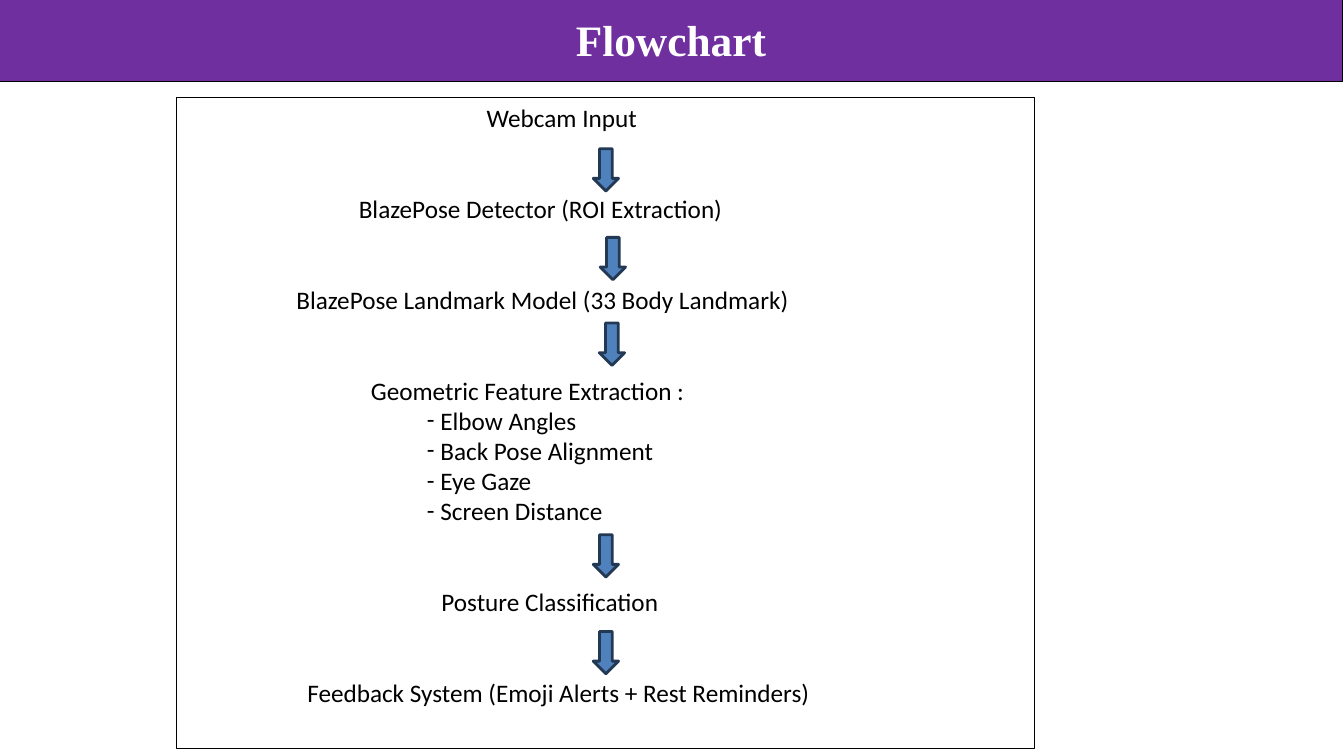
import dataclasses

import pptx
import pptx.dml.color
import pptx.enum.shapes
import pptx.enum.text
import pptx.oxml
import pptx.oxml.ns
import pptx.util

SHAPE = pptx.enum.shapes.MSO_SHAPE
ALIGN = pptx.enum.text.PP_ALIGN
ANCHOR = pptx.enum.text.MSO_ANCHOR


@dataclasses.dataclass(frozen=True)
class Theme:
    bar: str = "6F2F9F"
    ink: str = "000000"
    paper: str = "FFFFFF"
    arrow: str = "4F81BD"
    arrow_edge: str = "233953"
    title_font: str = "Times New Roman"
    body_font: str = "Calibri"
    title_size: float = 31
    body_size: float = 18
    line_height: float = 21.6
    thin: float = 0.75
    thick: float = 2


def color(value):
    return pptx.dml.color.RGBColor.from_string(value)


def apply(target, values):
    for name, value in values.items():
        setattr(target, name, value)


class FlowchartSlide:
    def __init__(self, presentation, theme):
        self.theme = theme
        self.width = presentation.slide_width
        self.height = presentation.slide_height
        self.slide = presentation.slides.add_slide(presentation.slide_layouts[6])

    def across(self, percent):
        return round(self.width * percent / 100)

    def down(self, percent):
        return round(self.height * percent / 100)

    def box(self, kind, left, top, width, height, fill, edge, weight):
        shape = self.slide.shapes.add_shape(
            kind, self.across(left), self.down(top), self.across(width), self.down(height)
        )
        shape.shadow.inherit = False
        if fill:
            shape.fill.solid()
            shape.fill.fore_color.rgb = color(fill)
        else:
            shape.fill.background()
        shape.line.color.rgb = color(edge)
        shape.line.width = pptx.util.Pt(weight)
        return shape

    def style(self, paragraph, name, size, ink, bold=False):
        apply(paragraph.font, {"name": name, "size": pptx.util.Pt(size), "bold": bold})
        paragraph.font.color.rgb = color(ink)

    def title(self, text):
        theme = self.theme
        bar = self.box(SHAPE.RECTANGLE, -0.08, -0.4, 100, 11.2, theme.bar, theme.ink, theme.thin)
        bar.text_frame.vertical_anchor = ANCHOR.MIDDLE
        paragraph = bar.text_frame.paragraphs[0]
        paragraph.text = text
        paragraph.alignment = ALIGN.CENTER
        self.style(paragraph, theme.title_font, theme.title_size, theme.paper, True)

    def steps(self, left, top, width, height, lines):
        theme = self.theme
        frame = self.box(SHAPE.RECTANGLE, left, top, width, height, None, theme.ink, theme.thin)
        text_frame = frame.text_frame
        apply(text_frame, {"word_wrap": True, "vertical_anchor": ANCHOR.TOP})
        for index, (text, indent, dashed) in enumerate(lines):
            paragraph = text_frame.add_paragraph() if index else text_frame.paragraphs[0]
            paragraph.text = text
            gap = 2 * theme.line_height if index and not dashed else 0
            apply(paragraph, {
                "alignment": ALIGN.LEFT,
                "line_spacing": pptx.util.Pt(theme.line_height),
                "space_before": pptx.util.Pt(gap),
            })
            properties = paragraph._p.get_or_add_pPr()
            properties.set("marL", str(self.across(indent)))
            if dashed:
                properties.set("indent", str(-self.across(1)))
                namespace = pptx.oxml.ns.nsdecls("a")
                for element in (
                    f'<a:buFont {namespace} typeface="{theme.body_font}"/>',
                    f'<a:buChar {namespace} char="-"/>',
                ):
                    properties.append(pptx.oxml.parse_xml(element))
            self.style(paragraph, theme.body_font, theme.body_size, theme.ink)

    def arrow(self, center, middle, width=1.88, height=5.6):
        theme = self.theme
        self.box(
            SHAPE.DOWN_ARROW, center - width / 2, middle - height / 2, width, height,
            theme.arrow, theme.arrow_edge, theme.thick,
        )


def main():
    presentation = pptx.Presentation()
    apply(presentation, {
        "slide_width": pptx.util.Inches(13.33),
        "slide_height": pptx.util.Inches(7.5),
    })
    flowchart = FlowchartSlide(presentation, Theme())
    flowchart.title("Flowchart")
    flowchart.steps(13.13, 12.93, 63.83, 86.13, [
        ("Webcam Input", 22.35, False),
        ("BlazePose Detector (ROI Extraction)", 12.83, False),
        ("BlazePose Landmark Model (33 Body Landmark)", 8.18, False),
        ("Geometric Feature Extraction :", 13.73, False),
        ("Elbow Angles", 18.9, True),
        ("Back Pose Alignment", 18.9, True),
        ("Eye Gaze", 18.9, True),
        ("Screen Distance", 18.9, True),
        ("Posture Classification", 18.98, False),
        ("Feedback System (Emoji Alerts + Rest Reminders)", 9, False),
    ])
    for center, middle in (
        (45.08, 22.47), (45.6, 34.2), (45.53, 45.53), (45.08, 73.53), (45.08, 86.33),
    ):
        flowchart.arrow(center, middle)
    presentation.save("out.pptx")


if __name__ == "__main__":
    main()
